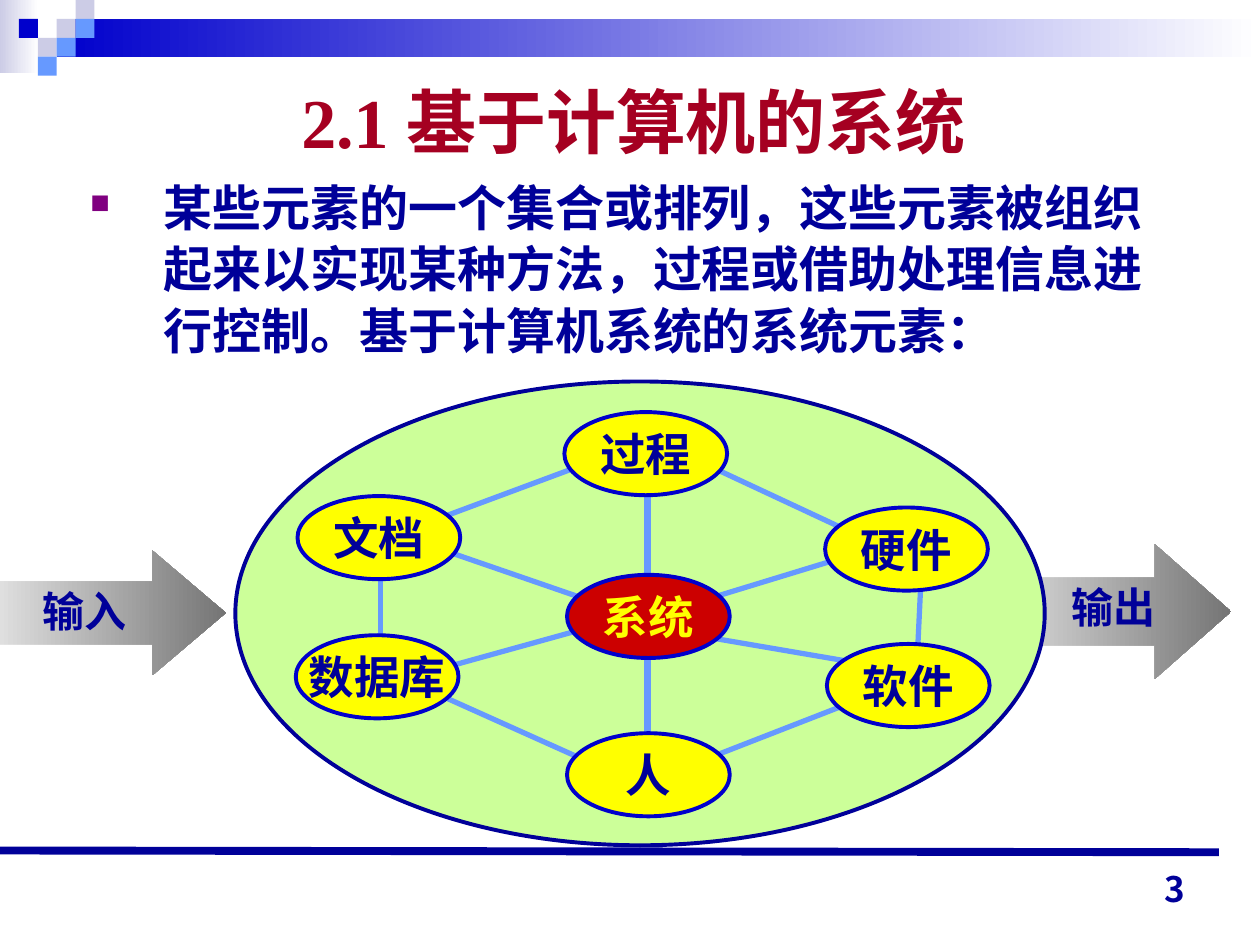
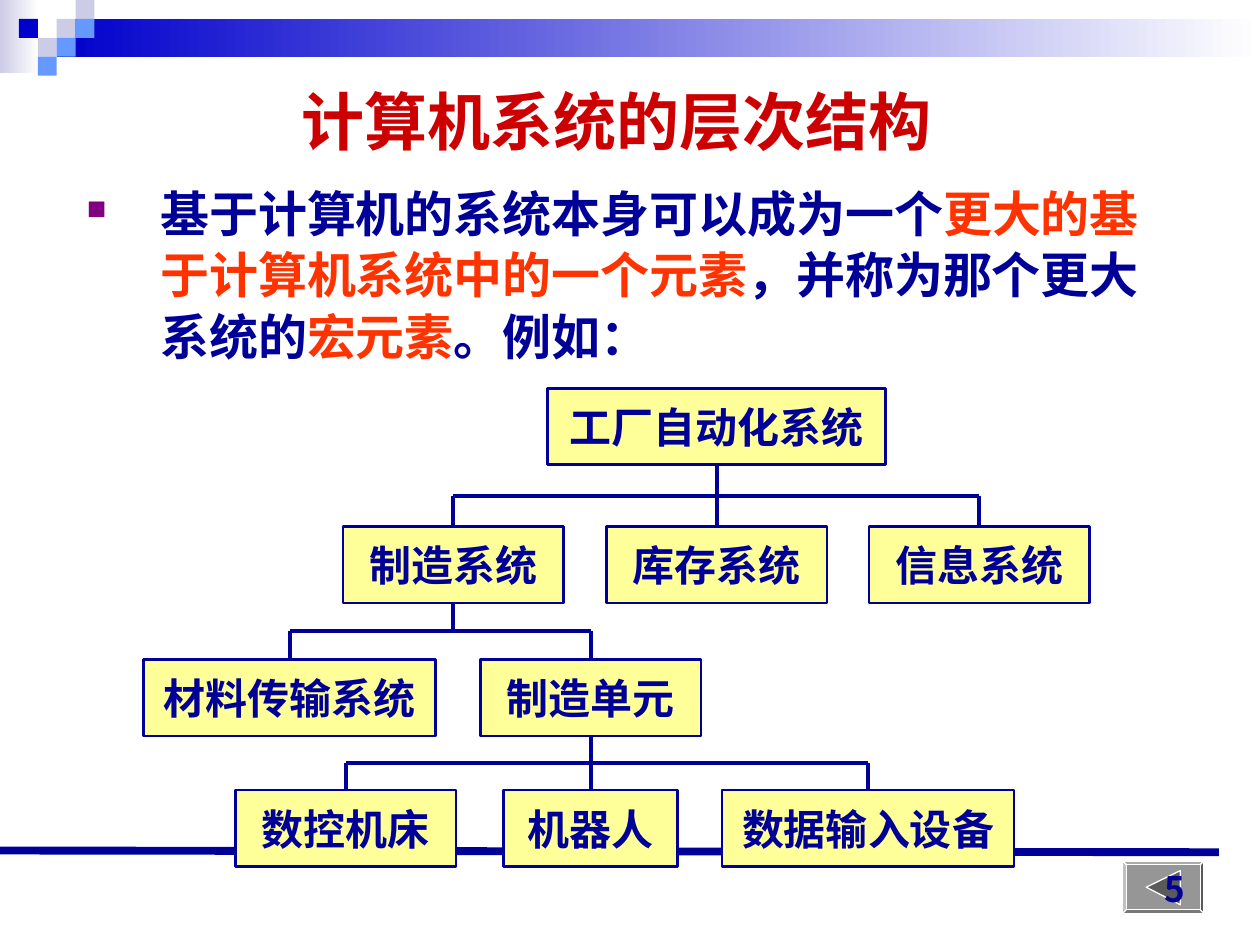
from lxml import etree
from pptx import Presentation
from pptx.dml.color import RGBColor
from pptx.enum.shapes import MSO_CONNECTOR, MSO_SHAPE
from pptx.enum.text import MSO_ANCHOR, PP_ALIGN
from pptx.oxml.ns import qn
from pptx.util import Pt

RECT, OVAL, ARROW, BEVEL = (MSO_SHAPE.RECTANGLE, MSO_SHAPE.OVAL,
                            MSO_SHAPE.RIGHT_ARROW, MSO_SHAPE.BEVEL)
STRAIGHT = MSO_CONNECTOR.STRAIGHT
LEFT, CENTER, RIGHT = PP_ALIGN.LEFT, PP_ALIGN.CENTER, PP_ALIGN.RIGHT
TOP, MIDDLE, BOTTOM = MSO_ANCHOR.TOP, MSO_ANCHOR.MIDDLE, MSO_ANCHOR.BOTTOM

NAVY, ROYAL, SKY, LAVENDER = "000099", "0000CC", "6699FF", "CCCCE6"
WHITE, YELLOW, CREAM, GREEN = "FFFFFF", "FFFF00", "FFFF99", "CCFF99"
RED, CRIMSON, ORANGE, PURPLE = "CC0000", "A50021", "FF3300", "800080"
GRAY, MID_GRAY, DARK_GRAY = "757575", "969696", "5A5A5A"
SERIF, SANS, CJK = "Times New Roman", "Arial", "Noto Sans CJK JP"

# Corner mosaic: column, row, colour
TILE = 10.8
TILES = [(3, 1, LAVENDER), (4, 0, LAVENDER), (4, 1, SKY), (2, 2, LAVENDER),
         (1, 1, ROYAL), (3, 2, SKY), (2, 3, SKY)]

ELEMENTS = {
    "title": "2.1 基于计算机的系统",
    "body": [("某些元素的一个集合或排列，这些元素被组织起来以实现某种方法，"
              "过程或借助处理信息进行控制。基于计算机系统的系统元素：", NAVY)],
    # Label, arrow box, head length, label centre
    "arrows": [("输出", (529, 311, 174.5, 77), 0.566, (636.5, 347)),
               ("输入", (-39, 314.5, 168, 71.5), 0.588, (48.5, 349))],
    "nodes": [("过程", 322.5, 235.5), ("软件", 472.5, 368), ("文档", 170, 283.5),
              ("人", 324, 419), ("硬件", 471.5, 290), ("数据库", 169, 363)],
    "core": ("系统", 324, 328.5),
    "links": [(339, 263.5, 226, 305.5), (397.5, 363, 497, 380),
              (243.5, 311, 346.5, 346.5), (485.5, 317.5, 395.5, 345),
              (217.5, 321, 217.5, 399), (526.5, 327, 524, 379.5),
              (500.5, 396, 396.5, 436.5), (247.5, 395.5, 340, 437),
              (402.5, 265, 507.5, 314), (245, 384, 355, 353.5)],
    "spine": (370, 277, 370, 425),
}
NODE_W, NODE_H = 93, 47.5

HIERARCHY = {
    "title": "计算机系统的层次结构",
    "body": [("基于计算机的系统本身可以成为一个", NAVY),
             ("更大的基于计算机系统中的一个元素", ORANGE),
             ("，并称为那个更大系统的", NAVY), ("宏元素", ORANGE),
             ("。例如：", NAVY)],
    # Row top, then boxes as label, centre, width
    "rows": [(222, [("工厂自动化系统", 409.5, 193)]),
             (301, [("制造系统", 259, 126), ("库存系统", 409.5, 126),
                    ("信息系统", 559.5, 126)]),
             (377, [("材料传输系统", 165.5, 167), ("制造单元", 337.5, 126)]),
             (451.5, [("数控机床", 197.5, 126), ("机器人", 337.5, 99.5),
                      ("数据输入设备", 496, 167)])],
    "parents": ["工厂自动化系统", "制造系统", "制造单元"],
}
BOX_H = 43.5


def rgb(color):
    return RGBColor.from_string(color)


def paint(sp, fill, line=None, weight=1):
    """Fill with one colour or a (left, right) pair, and outline if asked."""
    sp.shadow.inherit = False
    if isinstance(fill, tuple):
        sp.fill.gradient()
        sp.fill.gradient_angle = 0
        for stop, color, place in zip(sp.fill.gradient_stops, fill, (0, 1)):
            stop.color.rgb = rgb(color)
            stop.position = place
    else:
        sp.fill.solid()
        sp.fill.fore_color.rgb = rgb(fill)
    if line:
        sp.line.color.rgb = rgb(line)
        sp.line.width = Pt(weight)
    else:
        sp.line.fill.background()


def add_shape(s, kind, box, fill, line=None, weight=1):
    sp = s.shapes.add_shape(kind, *map(Pt, box))
    paint(sp, fill, line, weight)
    return sp


def add_line(s, ends, color=NAVY, weight=2.25):
    c = s.shapes.add_connector(STRAIGHT, *map(Pt, ends))
    c.line.color.rgb = rgb(color)
    c.line.width = Pt(weight)
    etree.SubElement(c.element.spPr, qn("a:effectLst"))
    return c


def write(sp, runs, size=24, font=SERIF, color=NAVY, align=CENTER,
          anchor=MIDDLE, wrap=False, inset=(0, 0)):
    """Write a string, or (text, colour) runs, as one bold paragraph."""
    tf = sp.text_frame
    tf.word_wrap = wrap
    tf.vertical_anchor = anchor
    tf.margin_left = tf.margin_right = Pt(inset[0])
    tf.margin_top = tf.margin_bottom = Pt(inset[1])
    p = tf.paragraphs[0]
    p.alignment = align
    for text, tint in [(runs, color)] if isinstance(runs, str) else runs:
        r = p.add_run()
        r.text = text
        r.font.name, r.font.size, r.font.bold = font, Pt(size), True
        r.font.color.rgb = rgb(tint)
    return p


def add_text(s, box, runs, **fmt):
    return write(s.shapes.add_textbox(*map(Pt, box)), runs, **fmt)


def set_bullet(p, char="■", color=PURPLE, percent=55, indent=42):
    pPr = p._p.get_or_add_pPr()
    pPr.set("marL", str(Pt(indent)))
    pPr.set("indent", str(-Pt(indent)))
    clr = etree.SubElement(pPr, qn("a:buClr"))
    etree.SubElement(clr, qn("a:srgbClr")).set("val", color)
    etree.SubElement(pPr, qn("a:buSzPct")).set("val", str(percent * 1000))
    etree.SubElement(pPr, qn("a:buChar")).set("char", char)


def start_slide(prs, content, title_center, title_size, title_color, body_box):
    s = prs.slides.add_slide(prs.slide_layouts[5])
    add_shape(s, RECT, (0, 0, 22, 42), (LAVENDER, WHITE))
    add_shape(s, RECT, (32.4, TILE, 687.6, 2 * TILE), (ROYAL, WHITE))
    for col, row, color in TILES:
        add_shape(s, RECT, (col * TILE, row * TILE, TILE, TILE), color)
    add_line(s, (0, 486, 696.5, 487), weight=4.5)

    title = s.shapes.title
    title.left, title.top = Pt(title_center - 240), Pt(41.5)
    title.width, title.height = Pt(480), Pt(54.5)
    write(title, content["title"], size=title_size, color=title_color,
          wrap=True, inset=(7.2, 3.6))

    p = add_text(s, body_box, content["body"], size=28, align=LEFT,
                 anchor=TOP, wrap=True, inset=(7.2, 3.6))
    set_bullet(p)
    p.line_spacing = Pt(35)
    return s


def add_page_number(s, number):
    add_text(s, (516.5, 487.5, 168, 36), number, size=20, font=CJK,
             align=RIGHT, anchor=BOTTOM, wrap=True, inset=(7.2, 3.6))


def add_node(s, label, x, y, fill=YELLOW, color=NAVY):
    sp = add_shape(s, OVAL, (x, y, NODE_W, NODE_H), fill, ROYAL, 2.25)
    write(sp, label, size=26, color=color)


def build_elements(prs):
    s = start_slide(prs, ELEMENTS, 362, 40, CRIMSON, (44.5, 96.5, 628.5, 120))
    for _, box, head, _ in ELEMENTS["arrows"]:
        arrow = add_shape(s, ARROW, box, (WHITE, GRAY))
        arrow.adjustments[0], arrow.adjustments[1] = 0.5, head
    add_shape(s, OVAL, (134.5, 218, 462.5, 265), GREEN, NAVY, 2.25)
    for label, _, _, (cx, cy) in ELEMENTS["arrows"]:
        add_text(s, (cx - 31, cy - 18, 62, 36), label)
    for ends in ELEMENTS["links"]:
        add_line(s, ends, SKY, 3)
    add_line(s, ELEMENTS["spine"], SKY, 4.5)
    for node in ELEMENTS["nodes"]:
        add_node(s, *node)
    add_node(s, *ELEMENTS["core"], fill=RED, color=YELLOW)
    add_page_number(s, "3")


def add_branches(s, parent, children, parent_bottom, child_top):
    """Join a parent to its children through a bar halfway between the rows."""
    bar_y = (parent_bottom + child_top) / 2
    (parent_box, parent_x), xs = parent, [x for _, x in children]
    add_line(s, (min(xs), bar_y, max(xs), bar_y))
    stem = add_line(s, (parent_x, parent_bottom, parent_x, bar_y))
    stem.begin_connect(parent_box, 2)
    for box, x in children:
        drop = add_line(s, (x, bar_y, x, child_top))
        drop.end_connect(box, 0)


def add_back_button(s):
    button = add_shape(s, BEVEL, (641.5, 492, 46.5, 30), MID_GRAY, WHITE, 0.75)
    button.adjustments[0] = 0.07
    fb = s.shapes.build_freeform(Pt(655), Pt(507))
    fb.add_line_segments([(Pt(674.5), Pt(497.5)), (Pt(674.5), Pt(517))])
    paint(fb.convert_to_shape(), DARK_GRAY, WHITE, 0.75)


def build_hierarchy(prs):
    s = start_slide(prs, HIERARCHY, 352.5, 36, RED, (42.5, 100, 634.5, 120))
    rows, placed = HIERARCHY["rows"], {}
    for top, boxes in rows:
        for label, cx, width in boxes:
            sp = add_shape(s, RECT, (cx - width / 2, top, width, BOX_H),
                           CREAM, NAVY, 1.5)
            write(sp, label, font=SANS)
            placed[label] = (sp, cx)
    for parent, (top, _), (child_top, boxes) in zip(HIERARCHY["parents"],
                                                    rows, rows[1:]):
        children = [placed[label] for label, _, _ in boxes]
        add_branches(s, placed[parent], children, top + BOX_H, child_top)
    add_back_button(s)
    add_page_number(s, "5")


def main():
    prs = Presentation()
    prs.slide_width, prs.slide_height = Pt(720), Pt(540)
    build_elements(prs)
    build_hierarchy(prs)
    prs.save("out.pptx")


if __name__ == "__main__":
    main()
